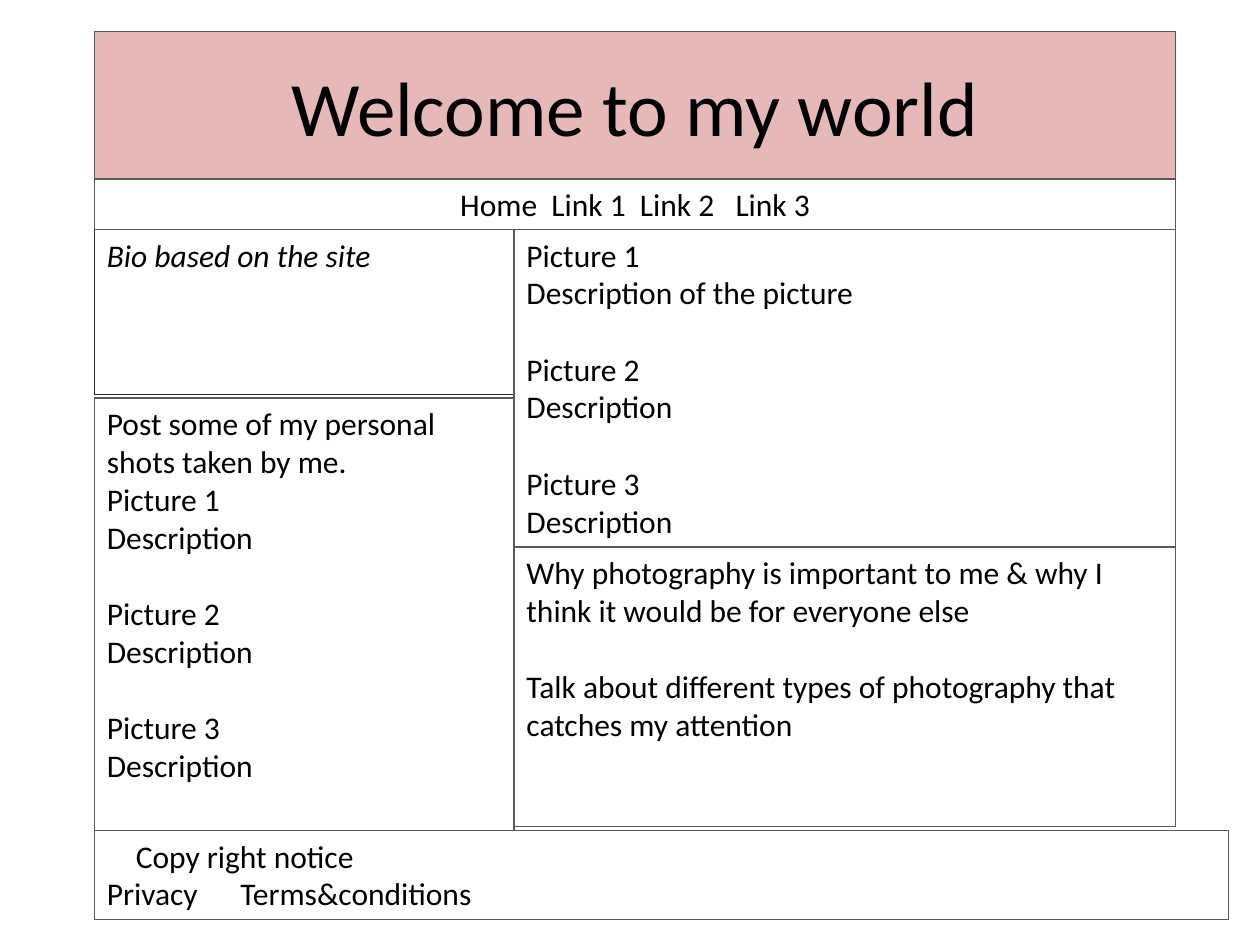
from pptx import Presentation
from pptx.dml.color import RGBColor
from pptx.enum import text
from pptx.oxml import parse_xml
from pptx.oxml.ns import nsdecls
from pptx.util import Inches, Pt

LEFT, MIDDLE, RIGHT = 0.75, 4.08, 9.33
BODY_TOP = 1.82
LINE_GAP = Pt(22)
PICTURES = [("Picture 2", True), ("Description", False),
            ("Picture 3", True), ("Description", False)]


def paint(color_format, color):
    """Apply a hex colour to a fill or line fill."""
    color_format.solid()
    color_format.fore_color.rgb = RGBColor.from_string(color)


def outline(region, color="595959"):
    """Give a region its thin border."""
    paint(region.line.fill, color)
    region.line.width = Pt(0.75)


def style(paragraph, size=18, align=text.PP_ALIGN.LEFT):
    """Set the font and alignment of a paragraph."""
    paragraph.font.name = "Calibri"
    paragraph.font.size = Pt(size)
    paragraph.font.color.rgb = RGBColor.from_string("000000")
    paragraph.alignment = align


def add_region(slide, box, lines, border="595959"):
    """Add a bordered text region; each line is (wording, starts a new group)."""
    region = slide.shapes.add_textbox(*map(Inches, box))
    outline(region, border)
    frame = region.text_frame
    frame.word_wrap = True
    for index, (wording, new_group) in enumerate(lines):
        paragraph = frame.add_paragraph() if index else frame.paragraphs[0]
        paragraph.text = wording
        style(paragraph)
        if new_group:
            paragraph.space_before = LINE_GAP
    return frame.paragraphs


def add_banner(slide, box):
    """Place the welcome title in its pink banner."""
    banner = slide.shapes.title
    banner.left, banner.top, banner.width, banner.height = map(Inches, box)
    paint(banner.fill, "E6B9B8")
    outline(banner)
    banner.text_frame.text = "Welcome to my world"
    banner.text_frame.vertical_anchor = text.MSO_ANCHOR.MIDDLE
    style(banner.text_frame.paragraphs[0], 44, text.PP_ALIGN.CENTER)


def add_navigation(slide, box):
    """Place the centred links, parted by widened spaces."""
    links = add_region(slide, box, [("Home", False)])[0]
    style(links, align=text.PP_ALIGN.CENTER)
    for label, extra in (("Link 1", 4), ("Link 2", 4), ("Link 3", 8)):
        gap = links.add_run()
        gap.text = " "
        gap.font._element.set("spc", str(extra * 100))
        links.add_run().text = label


def add_bio(slide, box):
    """Place the italic bio region."""
    bio = add_region(slide, box, [("Bio based on the site", False)], "262626")[0]
    bio.runs[0].font.italic = True


def add_footer(slide, box):
    """Place the notices, with an indent and a tab stop."""
    notice, terms = add_region(slide, box, [
        ("Copy right notice", False), ("Privacy\tTerms&conditions", False)])
    notice._p.get_or_add_pPr().set("marL", str(Inches(0.23)))
    tabs = parse_xml(f'<a:tabLst {nsdecls("a")}>'
                     f'<a:tab pos="{Inches(1.06)}" algn="l"/></a:tabLst>')
    terms._p.get_or_add_pPr().insert(0, tabs)


def build_page(slide):
    """Lay out every region of the web page sketch."""
    full, side, main = RIGHT - LEFT, MIDDLE - LEFT, RIGHT - MIDDLE
    add_banner(slide, (LEFT, 0.25, full, 1.17))
    add_bio(slide, (LEFT, BODY_TOP, side, 1.31))
    add_navigation(slide, (LEFT, 1.42, full, 0.4))
    add_region(slide, (MIDDLE, BODY_TOP, main, 2.52), [
        ("Picture 1", False), ("Description of the picture", False), *PICTURES])
    add_footer(slide, (LEFT, 6.59, 9, 0.71))
    add_region(slide, (LEFT, 3.16, side, 3.43), [
        ("Post some of my personal shots taken by me.", False),
        ("Picture 1", False), ("Description", False), *PICTURES])
    add_region(slide, (MIDDLE, 4.34, main, 2.22), [
        ("Why photography is important to me & why I think it would be "
         "for everyone else", False),
        ("Talk about different types of photography that catches my attention",
         True)])


deck = Presentation()
deck.slide_width, deck.slide_height = Inches(10), Inches(7.5)
build_page(deck.slides.add_slide(deck.slide_layouts.get_by_name("Title Only")))
deck.save("out.pptx")
